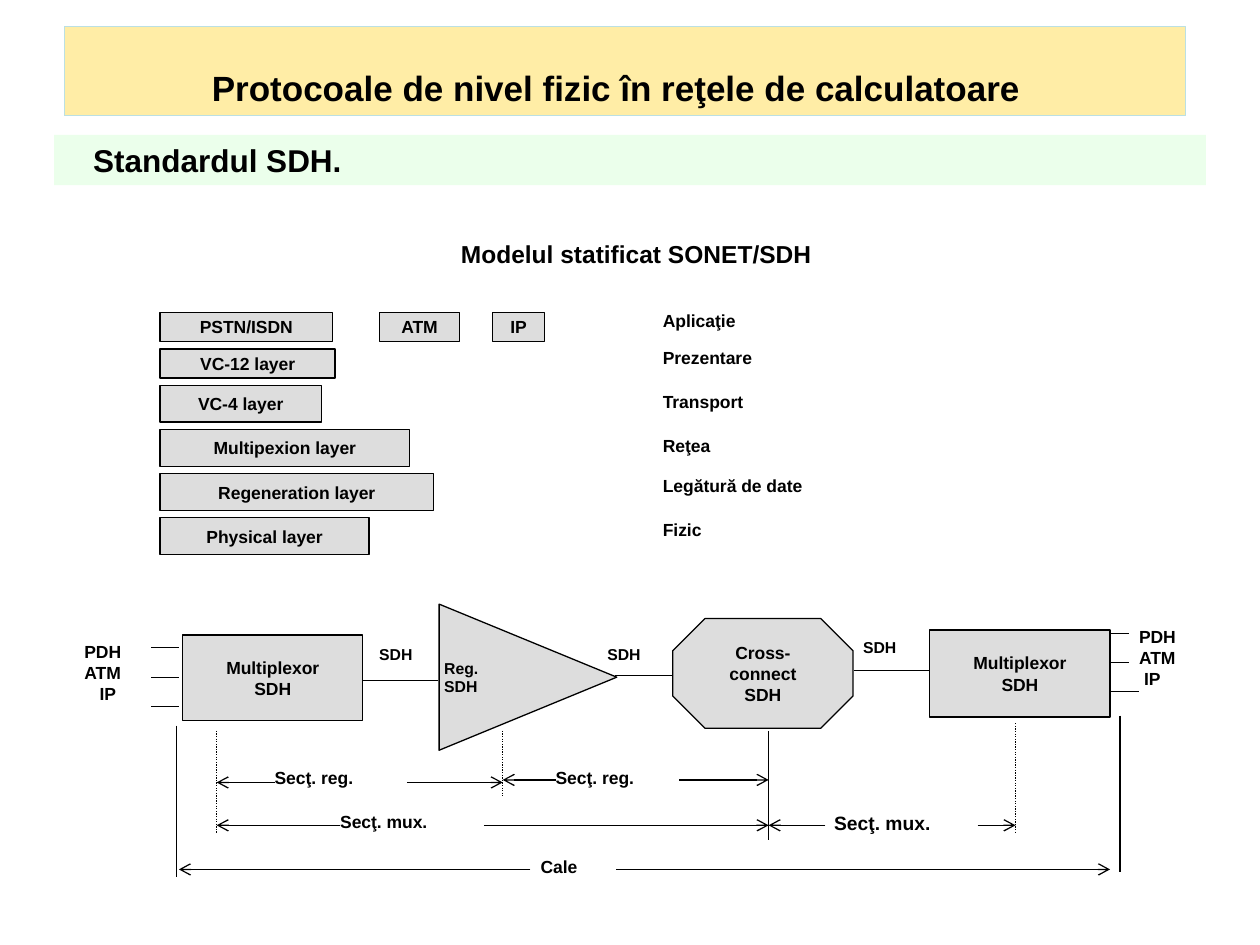
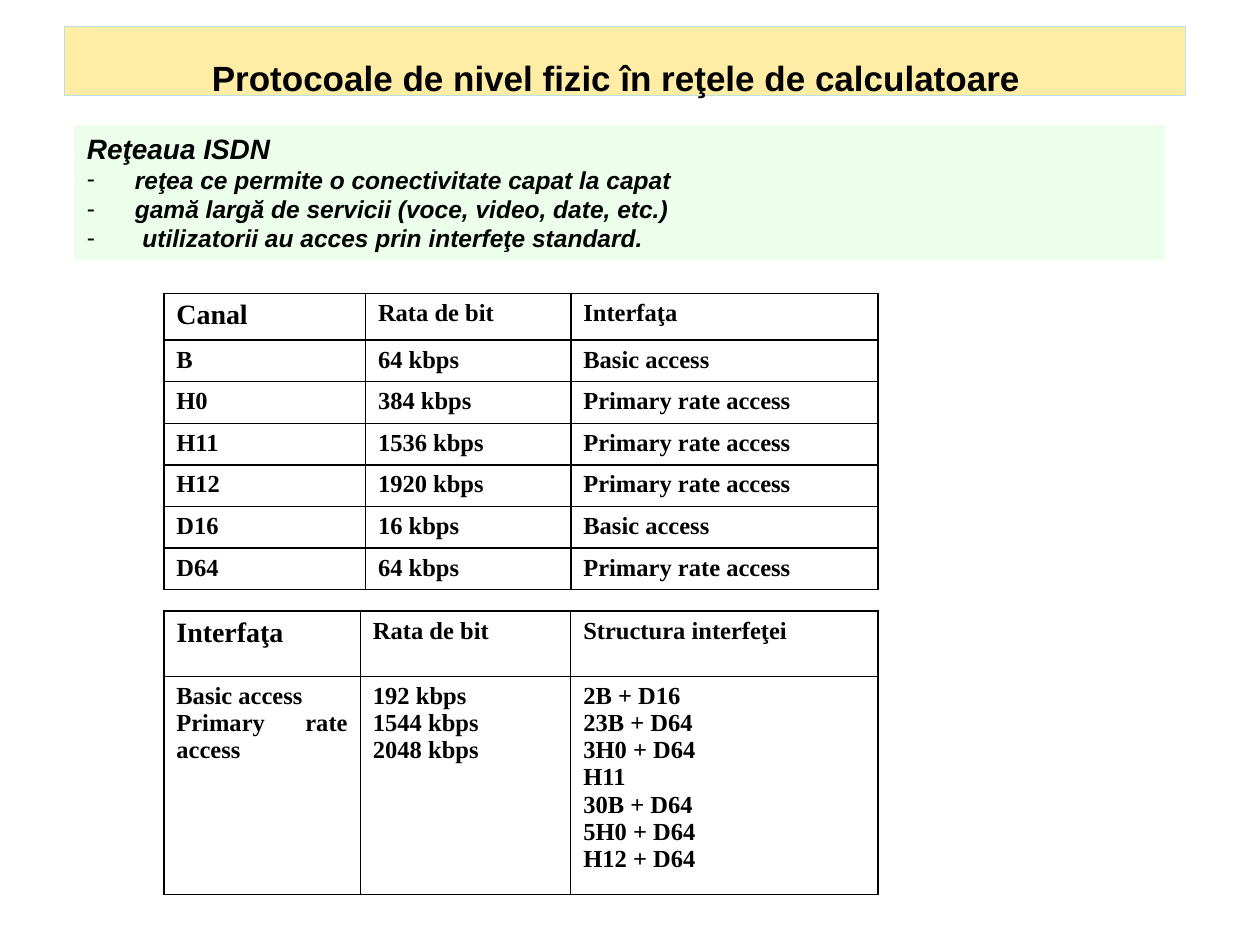
from lxml import etree
from pptx import Presentation
from pptx.dml.color import RGBColor
from pptx.enum.dml import MSO_LINE
from pptx.enum.shapes import MSO_CONNECTOR, MSO_SHAPE
from pptx.enum.text import MSO_ANCHOR, MSO_AUTO_SIZE, PP_ALIGN
from pptx.oxml.ns import qn
from pptx.util import Inches, Pt

RECT, TRI, OCT = MSO_SHAPE.RECTANGLE, MSO_SHAPE.ISOSCELES_TRIANGLE, MSO_SHAPE.OCTAGON
LEFT, MID, JUST = PP_ALIGN.LEFT, PP_ALIGN.CENTER, PP_ALIGN.JUSTIFY
TOP, CENTER = MSO_ANCHOR.TOP, MSO_ANCHOR.MIDDLE
DOTS, FIXED = MSO_LINE.ROUND_DOT, MSO_AUTO_SIZE.NONE
STRAIGHT = MSO_CONNECTOR.STRAIGHT

INK = {"black": "000000", "gold": "FFCC00", "mint": "CCFFCC", "sky": "BBE0E3", "gray": "DDDDDD"}
COLOR = {name: RGBColor.from_string(code) for name, code in INK.items()}
SANS, SERIF = "Arial", "Times New Roman"
TITLE = "Protocoale de nivel fizic în reţele de calculatoare"


def write(frame, rows, size, align=LEFT, font=SANS, slant=None):
    for i, row in enumerate(rows):
        para = frame.paragraphs[0] if i == 0 else frame.add_paragraph()
        para.alignment = align
        run = para.add_run()
        run.text = row
        run.font.name, run.font.size = font, Pt(size)
        run.font.bold, run.font.italic = True, slant
        run.font.color.rgb = COLOR["black"]


def block(slide, kind, place, rows, size=10, align=MID, pad=(0.07, 0.04), anchor=CENTER):
    spot = [Inches(n) for n in place]
    if kind is None:
        shape = slide.shapes.add_textbox(*spot)
    else:
        shape = slide.shapes.add_shape(kind, *spot)
        shape.shadow.inherit = False
        shape.fill.solid()
        shape.fill.fore_color.rgb = COLOR["gray"]
        shape.line.color.rgb = COLOR["black"]
        shape.line.width = Pt(0.75)
    frame = shape.text_frame
    frame.word_wrap = True
    frame.vertical_anchor = anchor
    frame.margin_left = frame.margin_right = Inches(pad[0])
    frame.margin_top = frame.margin_bottom = Inches(pad[1])
    write(frame, rows, size, align)
    return shape


deck = Presentation()
deck.slide_width, deck.slide_height = Inches(10), Inches(7.5)

heads = [
    (0.71, (0.43, 1.07, 9.14, 0.4)),
    (0.55, (0.59, 0.99, 8.66, 1.07)),
]
slides, bands = [], []
for high, place in heads:
    slide = deck.slides.add_slide(deck.slide_layouts[1])
    title, band = slide.shapes.title, slide.placeholders[1]
    for shape, spot, tint, alpha in [
        (title, (0.51, 0.21, 8.9, high), "gold", 35000),
        (band, place, "mint", 39000),
    ]:
        shape.left, shape.top, shape.width, shape.height = [Inches(n) for n in spot]
        shape.fill.solid()
        shape.fill.fore_color.rgb = COLOR[tint]
        tone = shape.fill._xPr.find(".//" + qn("a:srgbClr"))
        etree.SubElement(tone, qn("a:alpha"), val=str(alpha))
        shape.text_frame.auto_size = FIXED
        shape.text_frame.word_wrap = True
    title.line.color.rgb = COLOR["sky"]
    title.line.width = Pt(0.75)
    write(title.text_frame, [TITLE], 20, MID)
    tail = title.text_frame.paragraphs[0].add_run()
    tail.text = " "
    tail.font.size, tail.font.bold = Pt(44), False
    slides.append(slide)
    bands.append(band.text_frame)

model, isdn = slides
write(bands[0], ["Standardul SDH."], 18)
write(bands[1], ["Reţeaua ISDN"], 16, slant=True)
points = [
    "reţea ce permite o conectivitate capat la capat",
    "gamă largă de servicii (voce, video, date, etc.)",
    "utilizatorii au acces prin interfeţe standard.",
]
for point in points:
    bands[1].add_paragraph()
for para, point in zip(bands[1].paragraphs[1:], points):
    run = para.add_run()
    run.text = point
    run.font.name, run.font.size = SANS, Pt(14)
    run.font.bold = run.font.italic = True
    run.font.color.rgb = COLOR["black"]

marks = [(bands[0].paragraphs[0], 0.21, 0, None), (bands[1].paragraphs[0], 0, 0, None)]
marks += [(para, gap, -gap, "-") for para, gap in zip(bands[1].paragraphs[1:], (0.38, 0.38, 0.44))]
for para, left, hang, sign in marks:
    para.space_before = Pt(0)
    props = para._p.get_or_add_pPr()
    props.set("marL", str(Inches(left)))
    props.set("indent", str(Inches(hang)))
    if sign:
        etree.SubElement(props, qn("a:buChar"), char=sign)
    else:
        etree.SubElement(props, qn("a:buNone"))

block(model, None, (0.74, 1.78, 8.62, 0.47), ["Modelul statificat SONET/SDH"], 14)

layers = [
    ("PSTN/ISDN", 1.27, 2.48, 1.37, 0.23),
    ("ATM", 3.01, 2.48, 0.64, 0.23),
    ("IP", 3.91, 2.48, 0.41, 0.23),
    ("VC-12 layer", 1.27, 2.77, 1.39, 0.23),
    ("VC-4 layer", 1.27, 3.06, 1.28, 0.29),
    ("Multipexion layer", 1.27, 3.41, 1.98, 0.29),
    ("Regeneration layer", 1.27, 3.76, 2.17, 0.29),
    ("Physical layer", 1.27, 4.11, 1.66, 0.29),
]
for name, *place in layers:
    block(model, RECT, place, [name])

levels = [
    ("Aplicaţie", 2.42), ("Prezentare", 2.71), ("Transport", 3.06),
    ("Reţea", 3.41), ("Legătură de date", 3.73), ("Fizic", 4.08),
]
for name, y in levels:
    block(model, None, (5.19, y, 2.11, 0.29), [name], align=LEFT, anchor=TOP)

spans = [
    ("Cale", 10, 4.29, 6.79, 1.42, 4.21, 4.89, 8.81, 6.9),
    ("Secţ. mux.", 10, 2.7, 6.44, 1.72, 2.7, 3.84, 6.1, 6.55),
    ("Secţ. reg.", 10, 2.18, 6.09, 1.72, 2.18, 3.23, 3.99, 6.21),
    ("Secţ. reg.", 10, 4.41, 6.09, 3.99, 4.41, 5.39, 6.1, 6.19),
    ("Secţ. mux.", 11, 6.62, 6.44, 6.1, 6.55, 7.76, 8.06, 6.55),
]
wires = []
for name, size, x, top, start, near, far, end, y in spans:
    block(model, None, (x, top, 1.1, 0.2), [name], size, LEFT, (0, 0), TOP)
    wires += [(near, y, start, y, "arrow"), (far, y, end, y, "arrow")]

wires += [
    (1.72, 5.8, 1.72, 6.61, "dots"),
    (3.99, 5.8, 3.99, 6.32, "dots"),
    (8.06, 5.74, 8.06, 6.61, "dots"),
    (6.1, 5.8, 6.1, 6.67, ""),
    (1.4, 5.76, 1.4, 6.96, ""),
    (8.89, 5.68, 8.89, 6.92, ""),
    (2.85, 5.4, 3.48, 5.4, ""),
    (4.88, 5.36, 5.35, 5.36, ""),
    (6.78, 5.32, 7.38, 5.32, ""),
]
for i, end in enumerate((8.96, 8.96, 9.04)):
    left, right = 5.14 + i * 0.235, 5.03 + i * 0.23
    wires += [(1.2, left, 1.42, left, ""), (8.81, right, end, right, "")]

for x1, y1, x2, y2, style in wires:
    wire = model.shapes.add_connector(STRAIGHT, Inches(x1), Inches(y1), Inches(x2), Inches(y2))
    wire.line.color.rgb = COLOR["black"]
    wire.line.width = Pt(0.75)
    if style == "dots":
        wire.line.dash_style = DOTS
    if style == "arrow":
        etree.SubElement(wire.line._get_or_add_ln(), qn("a:tailEnd"), type="arrow")
    etree.SubElement(wire._element.spPr, qn("a:effectLst"))

for place in [(1.45, 5.04, 1.43, 0.68), (7.38, 5, 1.43, 0.69)]:
    block(model, RECT, place, ["Multiplexor", "SDH"])
cross = block(model, OCT, (5.34, 4.91, 1.43, 0.87), ["Cross-", "connect", "SDH"])
cross.adjustments[0] = 0.293
regen = block(model, TRI, (3.61, 4.67, 1.16, 1.41), ["Reg.", "SDH"], 9, LEFT, (0, 0.04))
regen.rotation = 90
regen.text_frame._txBody.bodyPr.set("vert", "vert270")

for x, y, shift in [(0.67, 5.09, 0.12), (9.04, 4.97, 0.04)]:
    port = block(model, None, (x, y, 0.53, 0.6), ["PDH", "ATM", "IP"], 10, LEFT, (0, 0), TOP)
    props = port.text_frame.paragraphs[2]._p.get_or_add_pPr()
    props.set("marL", str(Inches(shift)))
for x, y in [(3.01, 5.09), (4.82, 5.09), (6.85, 5.03)]:
    block(model, None, (x, y, 0.45, 0.21), ["SDH"], 9, LEFT, (0, 0.03), TOP)

rates = [
    ("Canal", "Rata de bit", "Interfaţa"),
    ("B", "64 kbps", "Basic access"),
    ("H0", "384 kbps", "Primary rate access"),
    ("H11", "1536 kbps", "Primary rate access"),
    ("H12", "1920 kbps", "Primary rate access"),
    ("D16", "16 kbps", "Basic access"),
    ("D64", "64 kbps", "Primary rate access"),
]
access = [
    ("Interfaţa", "Rata de bit", "Structura interfeţei"),
    (
        "Basic access\nPrimary rate access",
        "192 kbps\n1544 kbps\n2048 kbps",
        "2B + D16\n23B + D64\n3H0 + D64\nH11\n30B + D64\n5H0 + D64\nH12 + D64",
    ),
]
grids = [
    (rates, 2.33, (1.6, 1.63, 2.44), [0.37] + [0.33] * 6),
    (access, 4.85, (1.56, 1.67, 2.44), [0.52, 1.73]),
]
for data, top, wide, tall in grids:
    holder = isdn.shapes.add_table(
        len(data), 3, Inches(1.3), Inches(top), Inches(sum(wide)), Inches(sum(tall)))
    table = holder.table
    table.first_row = table.horz_banding = False
    for col, width in zip(table.columns, wide):
        col.width = Inches(width)
    for r, row in enumerate(data):
        table.rows[r].height = Inches(tall[r])
        for c, words in enumerate(row):
            cell = table.cell(r, c)
            size = 16 if r == c == 0 else 14
            write(cell.text_frame, words.split("\n"), size, JUST, SERIF)
            props = cell._tc.get_or_add_tcPr()
            for side in ("lnL", "lnR", "lnT", "lnB"):
                edge = etree.SubElement(props, qn("a:" + side), w=str(Pt(1)))
                paint = etree.SubElement(edge, qn("a:solidFill"))
                etree.SubElement(paint, qn("a:srgbClr"), val=INK["black"])
            cell.fill.background()

deck.save("out.pptx")
